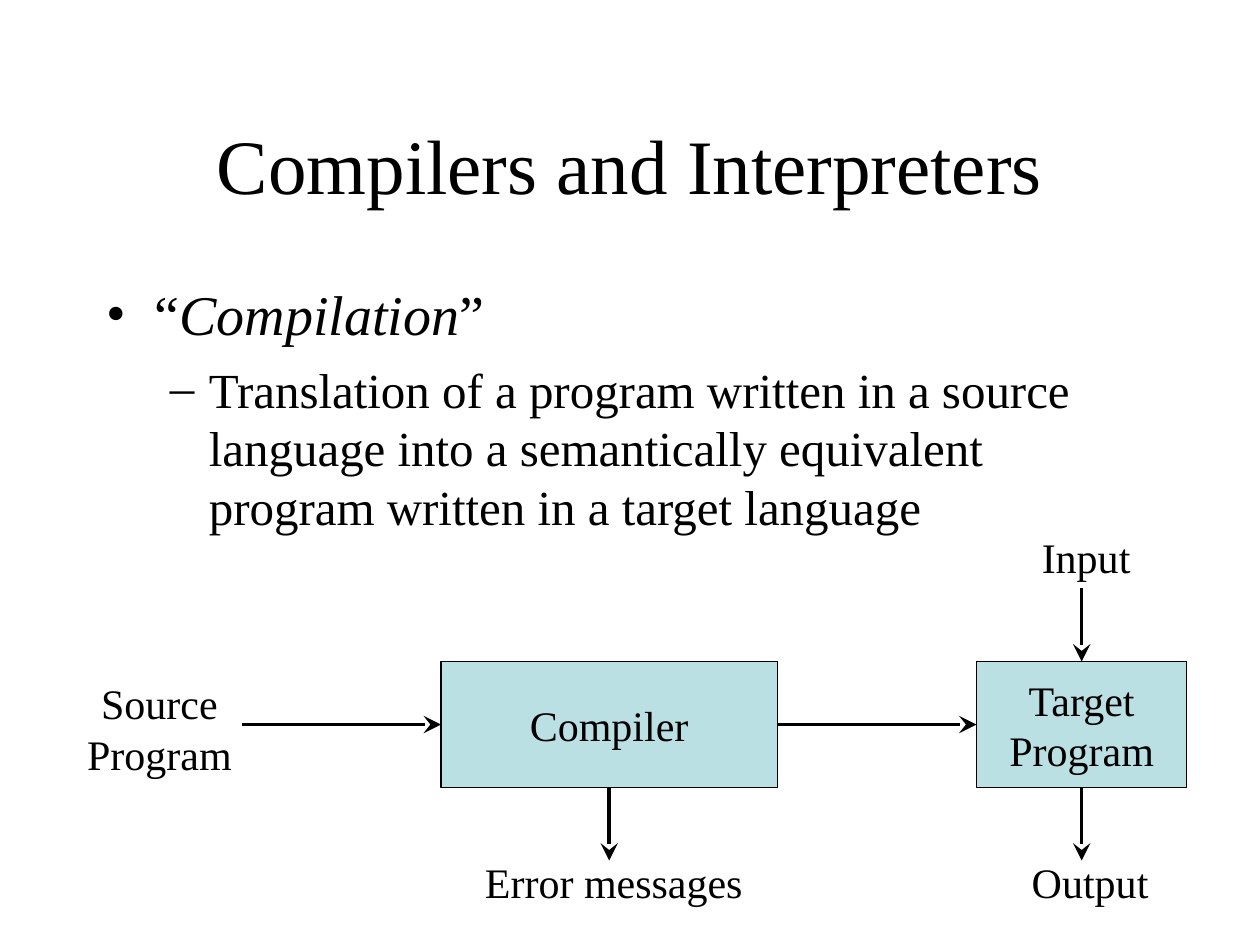
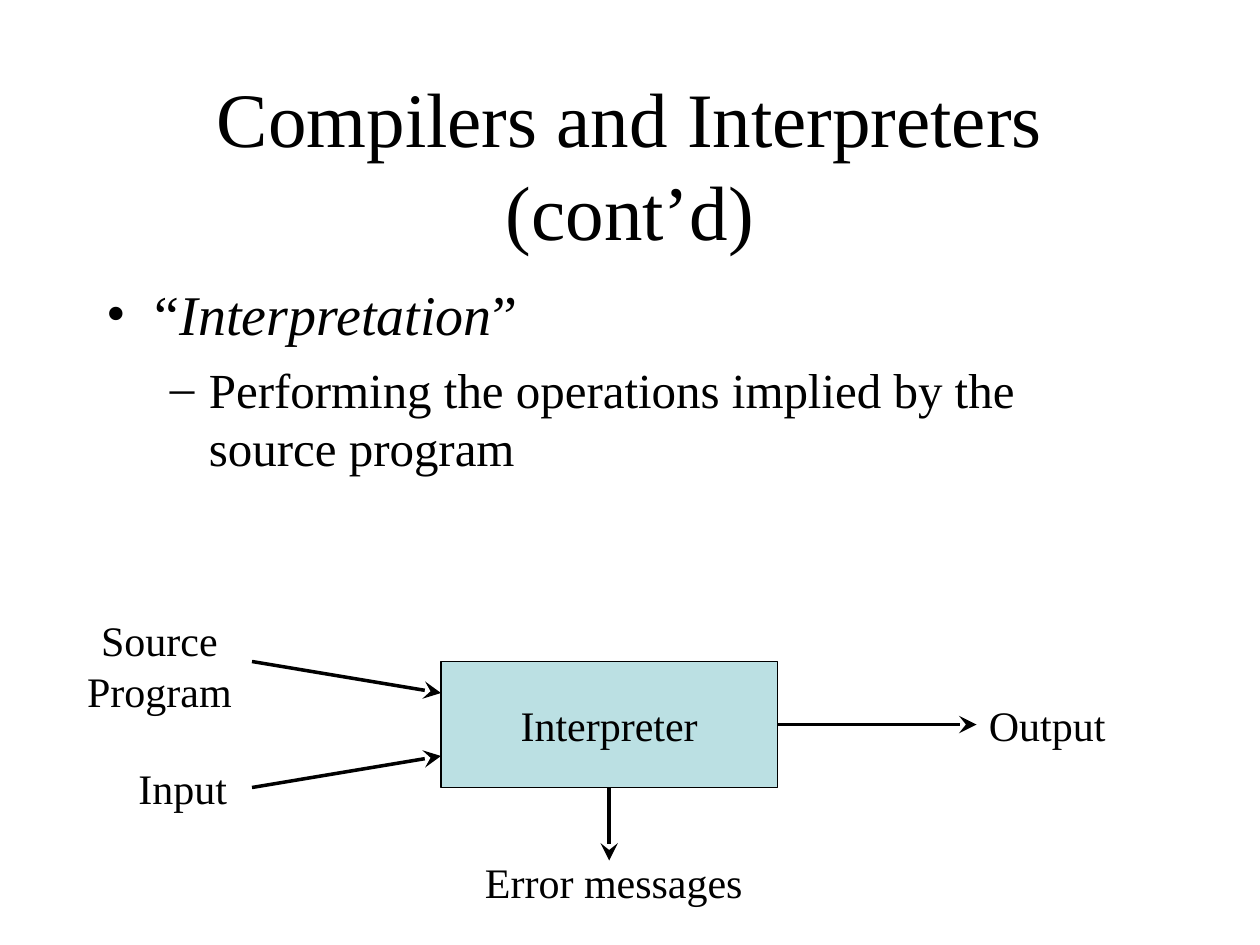
"""Build two slides that compare compilation with interpretation."""
from pptx import Presentation
from pptx import util as u
from pptx.dml.color import RGBColor
from pptx.enum import shapes, text
from pptx.oxml import ns, xmlchemy

BLACK = RGBColor(0x00, 0x00, 0x00)
WHITE = RGBColor(0xFF, 0xFF, 0xFF)
PALE_TEAL = RGBColor(0xBB, 0xE0, 0xE3)
FONT = "Times New Roman"

TITLE_AREA = (0.75, 0.67, 8.5, 1.25)
BODY_AREA = (0.75, 2.17, 8.5, 4.5)
MAIN_BOX = (3.5, 5.25, 2.67, 1)
TARGET_BOX = (7.75, 5.25, 1.67, 1)
MAIN_CENTER = MAIN_BOX[0] + MAIN_BOX[2] / 2
TARGET_CENTER = TARGET_BOX[0] + TARGET_BOX[2] / 2
MIDDLE = MAIN_BOX[1] + MAIN_BOX[3] / 2
ARROW_BOTTOM = 6.83
TOP, LEFT, BOTTOM, RIGHT = range(4)

ERROR_LABEL = ("Error messages", (3.75, 6.75, 2.28, 0.5))
SOURCE_SIZE = (1.35, 0.9)
INPUT_SIZE = (0.94, 0.5)
OUTPUT_SIZE = (1.16, 0.5)

SLIDES = [
    {
        "title": "Compilers and Interpreters",
        "term": "Compilation",
        "meaning": "Translation of a program written in a source language into "
                   "a semantically equivalent program written in a target language",
        "boxes": {"Compiler": MAIN_BOX, "Target\nProgram": TARGET_BOX},
        "labels": [
            ERROR_LABEL,
            ("Source\nProgram", (0.59, 5.33, *SOURCE_SIZE)),
            ("Input", (8.17, 4.17, *INPUT_SIZE)),
            ("Output", (8.09, 6.75, *OUTPUT_SIZE)),
        ],
        "arrows": [
            ((1.92, MIDDLE), ("Compiler", LEFT)),
            (("Compiler", BOTTOM), (MAIN_CENTER, ARROW_BOTTOM)),
            (("Compiler", RIGHT), ("Target\nProgram", LEFT)),
            (("Target\nProgram", BOTTOM), (TARGET_CENTER, ARROW_BOTTOM)),
            ((TARGET_CENTER, 4.67), ("Target\nProgram", TOP)),
        ],
    },
    {
        "title": "Compilers and Interpreters (cont’d)",
        "term": "Interpretation",
        "meaning": "Performing the operations implied by the source program",
        "boxes": {"Interpreter": MAIN_BOX},
        "labels": [
            ERROR_LABEL,
            ("Source\nProgram", (0.59, 4.83, *SOURCE_SIZE)),
            ("Input", (1, 6, *INPUT_SIZE)),
            ("Output", (7.75, 5.5, *OUTPUT_SIZE)),
        ],
        "arrows": [
            ((2, 5.25), (MAIN_BOX[0], 5.5)),
            ((2, 6.25), (MAIN_BOX[0], 6)),
            (("Interpreter", RIGHT), (TARGET_BOX[0], MIDDLE)),
            (("Interpreter", BOTTOM), (MAIN_CENTER, ARROW_BOTTOM)),
        ],
    },
]


def inches(values):
    return [u.Inches(value) for value in values]


def add_xml(parent, tag, **attributes):
    element = xmlchemy.OxmlElement(tag)
    for name, value in attributes.items():
        element.set(name, value)
    parent.append(element)
    return element


def write_paragraph(paragraph, runs, size=24, align=text.PP_ALIGN.LEFT,
                    bullet=None, margin=0, hang=0, before=0):
    paragraph.alignment = align
    paragraph.space_before = u.Pt(before)
    for content, italic in runs:
        run = paragraph.add_run()
        run.text = content
        run.font.name = FONT
        run.font.size = u.Pt(size)
        run.font.italic = italic
        run.font.color.rgb = BLACK
    if bullet:
        properties = paragraph._p.get_or_add_pPr()
        properties.set("marL", str(u.Inches(margin)))
        properties.set("indent", str(-u.Inches(hang)))
        add_xml(properties, "a:buFont", typeface=FONT)
        add_xml(properties, "a:buChar", char=bullet)


def write_lines(shape, content, anchor=text.MSO_ANCHOR.MIDDLE, wrap=False, **style):
    frame = shape.text_frame
    frame.word_wrap = wrap
    frame.vertical_anchor = anchor
    for index, line in enumerate(content.split("\n")):
        paragraph = frame.add_paragraph() if index else frame.paragraphs[0]
        write_paragraph(paragraph, [(line, False)], **style)


def add_body(slide, term, meaning):
    frame = slide.shapes.add_textbox(*inches(BODY_AREA)).text_frame
    frame.word_wrap = True
    write_paragraph(frame.paragraphs[0], [("“", False), (term, True), ("”", False)],
                    size=32, bullet="•", margin=0.38, hang=0.38, before=8)
    write_paragraph(frame.add_paragraph(), [(meaning, False)],
                    size=28, bullet="–", margin=0.81, hang=0.31, before=7)
    frame.paragraphs[1].level = 1


def add_box(slide, name, area):
    box = slide.shapes.add_shape(shapes.MSO_SHAPE.RECTANGLE, *inches(area))
    box.shadow.inherit = False
    box.fill.solid()
    box.fill.fore_color.rgb = PALE_TEAL
    box.line.color.rgb = BLACK
    box.line.width = u.Pt(0.75)
    write_lines(box, name, align=text.PP_ALIGN.CENTER)
    return box


def add_label(slide, content, area):
    label = slide.shapes.add_textbox(*inches(area))
    align = text.PP_ALIGN.CENTER if "\n" in content else text.PP_ALIGN.LEFT
    write_lines(label, content, anchor=text.MSO_ANCHOR.TOP, align=align)


def add_arrow(slide, boxes, start, end):
    points = [(0, 0) if place[0] in boxes else place for place in (start, end)]
    arrow = slide.shapes.add_connector(
        shapes.MSO_CONNECTOR.STRAIGHT, *inches(points[0] + points[1]))
    for place, connect in ((start, arrow.begin_connect), (end, arrow.end_connect)):
        if place[0] in boxes:
            connect(boxes[place[0]], place[1])
    arrow.line.color.rgb = BLACK
    arrow.line.width = u.Pt(2)
    add_xml(arrow.line._get_or_add_ln(), "a:tailEnd", type="stealth", w="lg", len="lg")
    add_xml(arrow._element.find(ns.qn("p:spPr")), "a:effectLst")


def build_slide(presentation, content):
    slide = presentation.slides.add_slide(presentation.slide_layouts[6])
    slide.background.fill.solid()
    slide.background.fill.fore_color.rgb = WHITE
    title = slide.shapes.add_textbox(*inches(TITLE_AREA))
    write_lines(title, content["title"], wrap=True, size=44, align=text.PP_ALIGN.CENTER)
    add_body(slide, content["term"], content["meaning"])
    boxes = {name: add_box(slide, name, area) for name, area in content["boxes"].items()}
    for label, area in content["labels"]:
        add_label(slide, label, area)
    for start, end in content["arrows"]:
        add_arrow(slide, boxes, start, end)


def main():
    presentation = Presentation()
    presentation.slide_width = u.Inches(10)
    presentation.slide_height = u.Inches(7.5)
    for content in SLIDES:
        build_slide(presentation, content)
    presentation.save("out.pptx")


if __name__ == "__main__":
    main()
